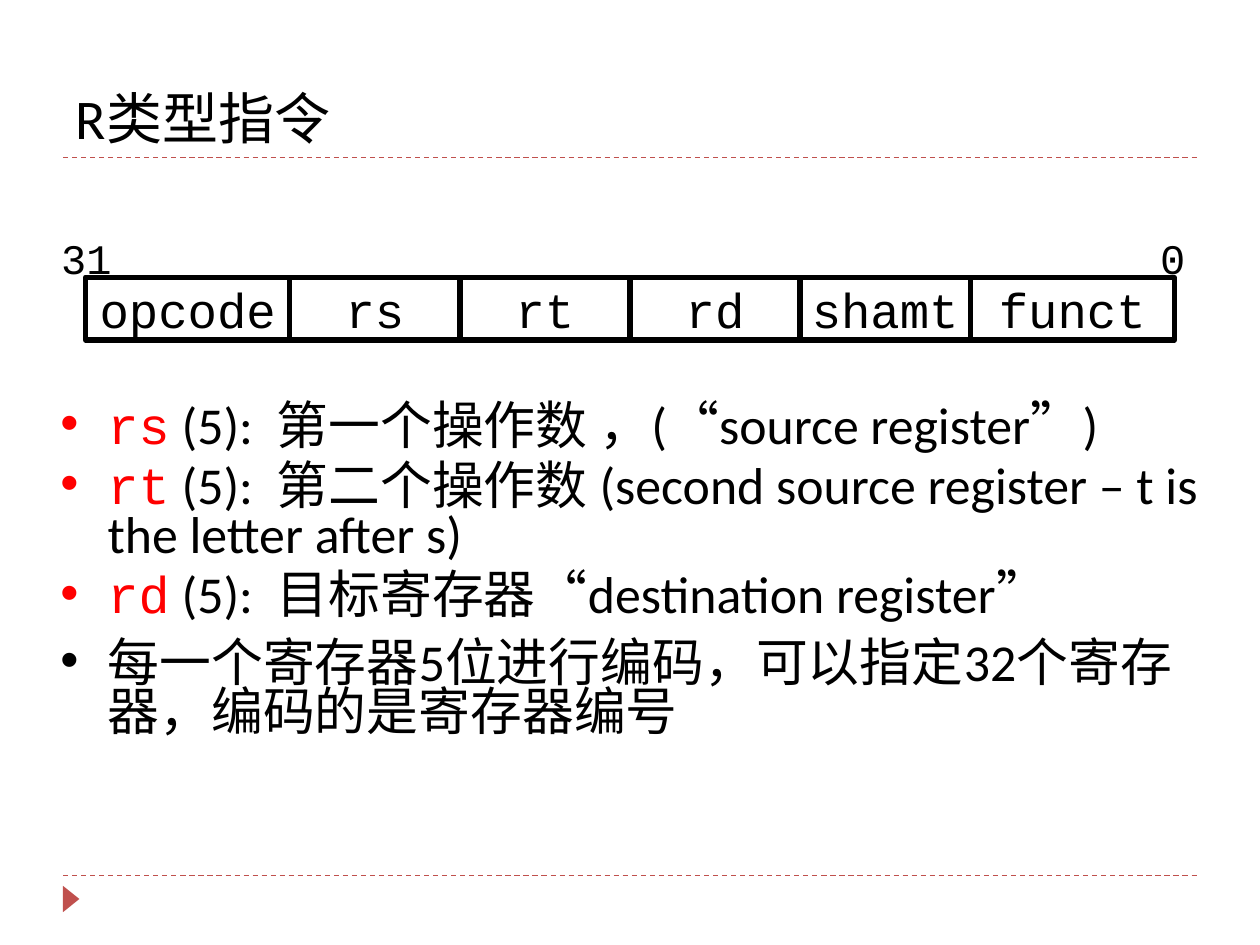
from typing import NamedTuple

from lxml.etree import SubElement
from pptx import Presentation
from pptx.dml.color import RGBColor
from pptx.enum.dml import MSO_LINE
from pptx.enum.shapes import MSO_CONNECTOR, MSO_SHAPE
from pptx.enum.text import MSO_ANCHOR as ANCHOR, MSO_AUTO_SIZE, PP_ALIGN as ALIGN
from pptx.oxml.ns import qn
from pptx.util import Pt

BLACK = RGBColor(0, 0, 0)
RED = RGBColor(0xFF, 0, 0)
ACCENT = RGBColor(0xC0, 0x50, 0x4D)
SANS, MONO = "Calibri", "Courier New"

BIT_W = 19.44  # width of one instruction bit
WORD_X, WORD_Y, WORD_H = 48.96, 158.4, 36
BODY_SIZE, INDENT = 29.6, 27


class Field(NamedTuple):
    name: str
    bits: int
    inset: float = 7.2


class Bullet(NamedTuple):
    register: str
    text: str
    before: float


class BitLabel(NamedTuple):
    text: str
    x: float
    width: float
    align: ALIGN


FIELDS = [
    Field("opcode", 6), Field("rs", 5), Field("rt", 5),
    Field("rd", 5), Field("shamt", 5, 0), Field("funct", 6),
]
BIT_LABELS = [
    BitLabel("31", 27.4, 43.9, ALIGN.CENTER),
    BitLabel("0", 655.9, 28.8, ALIGN.LEFT),
]
BULLETS = [
    Bullet("rs", " (5):  第一个操作数 ，(“source register”)", 0),
    Bullet("rt", " (5):  第二个操作数 (second source register – t is the letter after s)", 5.9),
    Bullet("rd", " (5):  目标寄存器“destination register”", 5.9),
    Bullet("", "每一个寄存器5位进行编码，可以指定32个寄存器，编码的是寄存器编号", 10),
]


def add_text(p, text: str, *, size: float, font: str = MONO,
             color: RGBColor = BLACK) -> None:
    r = p.add_run()
    r.text = text
    r.font.size = Pt(size)
    r.font.name = font
    r.font.color.rgb = color


def set_frame(tf, *, inset: float = 7.2, anchor: ANCHOR = ANCHOR.TOP,
              wrap: bool = True) -> None:
    tf.word_wrap = wrap
    tf.auto_size = MSO_AUTO_SIZE.NONE
    tf.vertical_anchor = anchor
    tf.margin_left = tf.margin_right = Pt(inset)
    tf.margin_top = tf.margin_bottom = Pt(3.6)


def add_rule(slide, y: float) -> None:
    line = slide.shapes.add_connector(MSO_CONNECTOR.STRAIGHT, Pt(36), Pt(y), Pt(684), Pt(y))
    line.line.color.rgb = ACCENT
    line.line.width = Pt(0.75)
    line.line.dash_style = MSO_LINE.DASH
    SubElement(line._element.spPr, qn("a:effectLst"))


def add_field(slide, field: Field, x: float) -> None:
    sp = slide.shapes.add_shape(MSO_SHAPE.RECTANGLE, Pt(x), Pt(WORD_Y),
                                Pt(field.bits * BIT_W), Pt(WORD_H))
    sp.shadow.inherit = False
    sp.fill.background()
    sp.line.color.rgb = BLACK
    sp.line.width = Pt(3)
    set_frame(sp.text_frame, inset=field.inset, anchor=ANCHOR.MIDDLE, wrap=False)
    p = sp.text_frame.paragraphs[0]
    p.alignment = ALIGN.CENTER
    add_text(p, field.name, size=28)


def add_bit_label(slide, label: BitLabel) -> None:
    sp = slide.shapes.add_textbox(Pt(label.x), Pt(129.6), Pt(label.width), Pt(36))
    set_frame(sp.text_frame, wrap=False)
    p = sp.text_frame.paragraphs[0]
    p.alignment = label.align
    add_text(p, label.text, size=24)


def add_bullet(p, bullet: Bullet) -> None:
    p.line_spacing = 0.8
    p.space_before = Pt(bullet.before)
    pPr = p._p.get_or_add_pPr()
    pPr.set("marL", str(Pt(INDENT)))
    pPr.set("indent", str(-Pt(INDENT)))
    color = RED if bullet.register else BLACK
    SubElement(SubElement(pPr, qn("a:buClr")), qn("a:srgbClr"), val=str(color))
    SubElement(pPr, qn("a:buFont"), typeface="Arial")
    SubElement(pPr, qn("a:buChar"), char="•")
    if bullet.register:
        add_text(p, bullet.register, size=BODY_SIZE, color=RED)
    add_text(p, bullet.text, size=BODY_SIZE, font=SANS)


def main() -> None:
    prs = Presentation()
    prs.slide_width, prs.slide_height = Pt(720), Pt(540)
    slide = prs.slides.add_slide(prs.slide_layouts[5])

    # Rules and page marker
    add_rule(slide, 500.4)
    marker = slide.shapes.add_shape(MSO_SHAPE.ISOSCELES_TRIANGLE,
                                    Pt(33.1), Pt(509), Pt(15.1), Pt(9.4))
    marker.rotation = 90
    marker.shadow.inherit = False
    marker.fill.solid()
    marker.fill.fore_color.rgb = ACCENT
    marker.line.fill.background()
    add_rule(slide, 90)

    # Title
    title = slide.shapes.title
    title.left, title.top, title.width, title.height = Pt(36), Pt(12.2), Pt(648), Pt(77.8)
    set_frame(title.text_frame, anchor=ANCHOR.BOTTOM)
    p = title.text_frame.paragraphs[0]
    p.alignment = ALIGN.LEFT
    add_text(p, "R类型指令", size=32, font=SANS)

    # Explanation of the register fields
    body = slide.shapes.add_textbox(Pt(27.4), Pt(227.5), Pt(670.3), Pt(239.8))
    tf = body.text_frame
    set_frame(tf)
    for i, bullet in enumerate(BULLETS):
        add_bullet(tf.add_paragraph() if i else tf.paragraphs[0], bullet)

    # Instruction word, each field as wide as its bits
    x = WORD_X
    for field in FIELDS:
        add_field(slide, field, x)
        x += field.bits * BIT_W
    for label in BIT_LABELS:
        add_bit_label(slide, label)

    prs.save("out.pptx")


if __name__ == "__main__":
    main()
